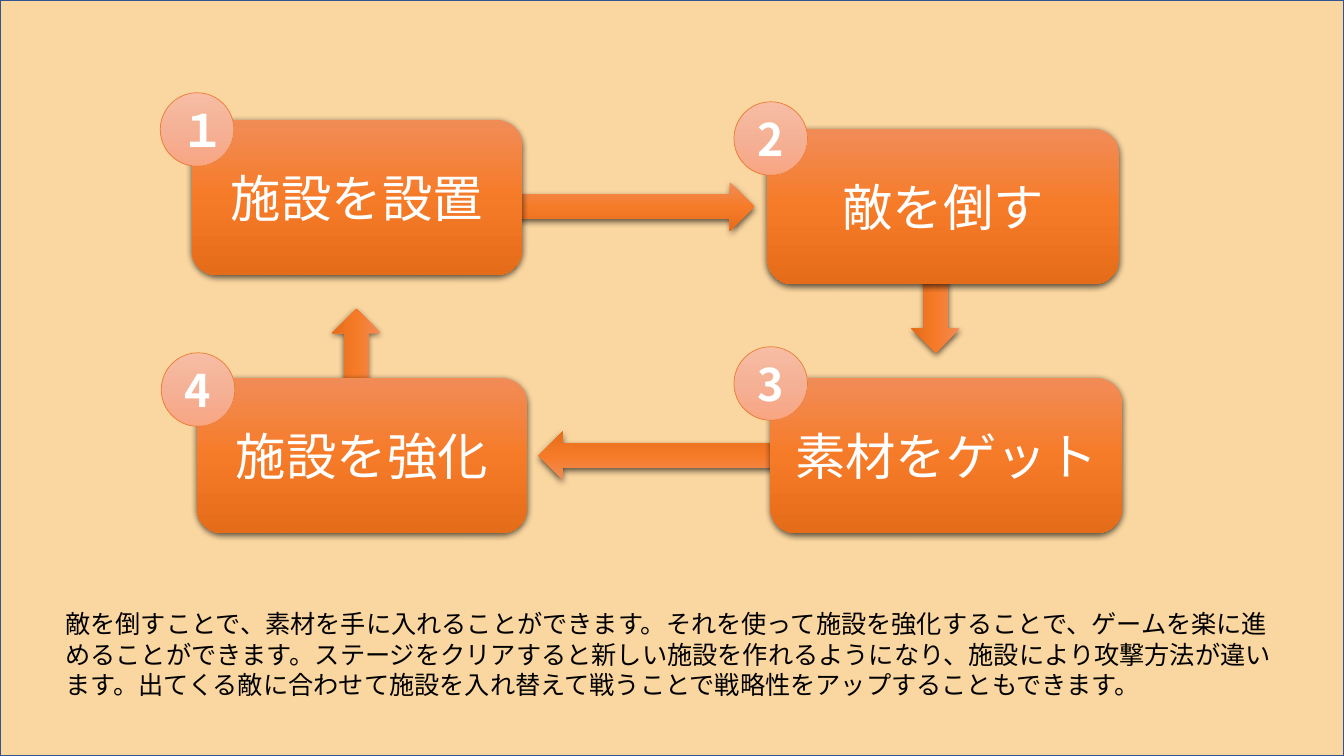
from dataclasses import dataclass

from lxml import etree
from pptx import Presentation
from pptx.dml.color import RGBColor
from pptx.enum import lang, shapes, text
from pptx.oxml import ns
from pptx.util import Inches, Pt


@dataclass(frozen=True)
class Theme:
    font: str = "Noto Sans CJK JP"
    back: str = "FAD6A0"
    frame: str = "325491"
    rim: str = "ED7D31"
    light: str = "FFFFFF"
    dark: str = "000000"
    strong: tuple = ("F18C57", "F67B28", "E56C19")
    pale: tuple = ("F7BDA5", "F5B196", "F8A582")
    label: int = 36
    number: int = 32
    body: int = 18


THEME = Theme()
KIND = shapes.MSO_SHAPE


def node(parent, tag, **attrs):
    return etree.SubElement(parent, ns.qn(tag), attrs)


def add_run(para, words, size, color, bold=False):
    run = para.add_run()
    run.text = words
    font = run.font
    font.name = THEME.font
    font.size = Pt(size)
    font.bold = bold
    font.color.rgb = RGBColor.from_string(color)
    font.language_id = lang.MSO_LANGUAGE_ID.JAPANESE
    node(run._r.get_or_add_rPr(), "a:ea", typeface=THEME.font)


def add_form(slide, kind, box):
    form = slide.shapes.add_shape(kind, *map(Inches, box))
    form.shadow.inherit = False
    form.line.fill.background()
    return form


def set_line(form, color, width):
    form.line.color.rgb = RGBColor.from_string(color)
    form.line.width = Pt(width)


def set_blend(form, colors):
    form.fill.gradient()
    blend = form._element.spPr.find(ns.qn("a:gradFill"))
    for child in list(blend):
        blend.remove(child)
    stops = node(blend, "a:gsLst")
    for i, color in enumerate(colors):
        stop = node(stops, "a:gs", pos=str(i * 50000))
        node(stop, "a:srgbClr", val=color)
    node(blend, "a:lin", ang="5400000", scaled="0")


def set_shade(form):
    effects = form._element.spPr.find(ns.qn("a:effectLst"))
    shade = node(effects, "a:outerShdw", blurRad=str(Pt(4.5)),
                 dist=str(Pt(1.5)), dir="5400000", algn="ctr",
                 rotWithShape="0")
    color = node(shade, "a:srgbClr", val=THEME.dark)
    node(color, "a:alpha", val="63000")


def set_label(form, words, size, bold=False):
    frame = form.text_frame
    frame.vertical_anchor = text.MSO_ANCHOR.MIDDLE
    para = frame.paragraphs[0]
    para.alignment = text.PP_ALIGN.CENTER
    add_run(para, words, size, THEME.light, bold)


def add_back(slide):
    back = add_form(slide, KIND.RECTANGLE, (0, 0, 13.33, 7.5))
    back.fill.solid()
    back.fill.fore_color.rgb = RGBColor.from_string(THEME.back)
    set_line(back, THEME.frame, 1)


def add_arrow(slide, left, top, width, turn, flip=False):
    arrow = add_form(slide, KIND.RIGHT_ARROW, (left, top, width, 0.48))
    arrow.rotation = turn
    if flip:
        arrow._element.spPr.find(ns.qn("a:xfrm")).set("flipV", "1")
    set_blend(arrow, THEME.strong)
    set_shade(arrow)


def add_step(slide, left, top, width, words):
    step = add_form(slide, KIND.ROUNDED_RECTANGLE, (left, top, width, 1.54))
    set_blend(step, THEME.strong)
    set_shade(step)
    set_label(step, words, THEME.label)


def add_badge(slide, left, top, words):
    badge = add_form(slide, KIND.FLOWCHART_CONNECTOR, (left, top, 0.73, 0.73))
    set_blend(badge, THEME.pale)
    set_line(badge, THEME.rim, 0.5)
    set_label(badge, words, THEME.number, True)


def add_note(slide, box, words):
    frame = slide.shapes.add_textbox(*map(Inches, box)).text_frame
    frame.word_wrap = True
    frame.auto_size = text.MSO_AUTO_SIZE.SHAPE_TO_FIT_TEXT
    add_run(frame.paragraphs[0], words, THEME.body, THEME.dark)


def main():
    deck = Presentation()
    deck.slide_width, deck.slide_height = Inches(13.33), Inches(7.5)
    slide = deck.slides.add_slide(deck.slide_layouts[6])
    add_back(slide)

    arrows = (
        (4.73, 1.81, 2.75, 0),
        (5.34, 4.28, 2.75, 180),
        (8.76, 2.74, 1.04, 90),
        (2.93, 3.43, 1.21, 270, True),
    )
    for arrow in arrows:
        add_arrow(slide, *arrow)

    add_note(slide, (0.55, 5.99, 12.23, 1.01),
             "敵を倒すことで、素材を手に入れることができます。"
             "それを使って施設を強化することで、ゲームを楽に進めることができます。"
             "ステージをクリアすると新しい施設を作れるようになり、"
             "施設により攻撃方法が違います。"
             "出てくる敵に合わせて施設を入れ替えて戦うことで"
             "戦略性をアップすることもできます。")

    steps = (
        (1.9, 1.19, 3.28, "施設を設置"),
        (7.61, 1.28, 3.49, "敵を倒す"),
        (7.64, 3.75, 3.49, "素材をゲット"),
        (1.95, 3.75, 3.28, "施設を強化"),
    )
    for step in steps:
        add_step(slide, *step)

    badges = (
        (1.59, 0.92, "１"),
        (7.28, 1.01, "2"),
        (7.28, 3.44, "3"),
        (1.6, 3.5, "4"),
    )
    for badge in badges:
        add_badge(slide, *badge)

    deck.save("out.pptx")


if __name__ == "__main__":
    main()
